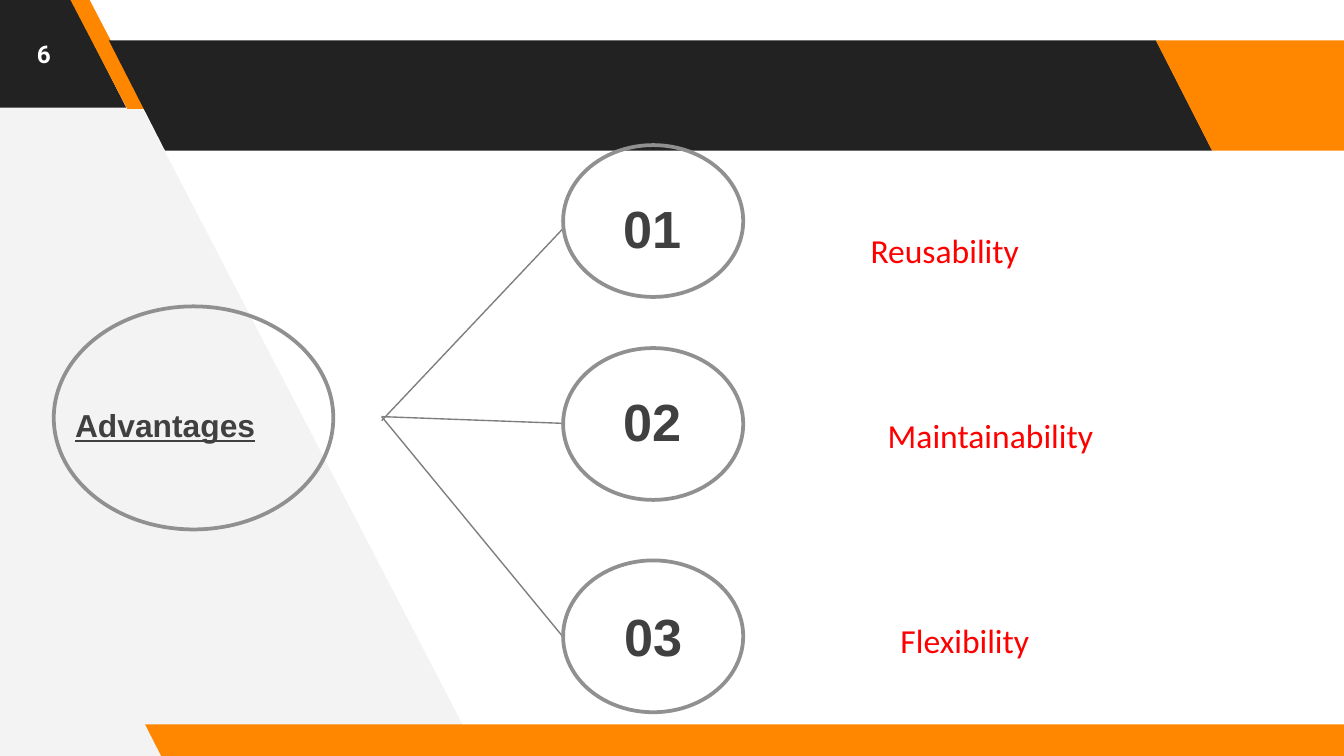
from lxml.etree import SubElement
from pptx import Presentation
from pptx.dml.color import RGBColor
from pptx.enum.shapes import MSO_CONNECTOR, MSO_SHAPE
from pptx.enum.text import MSO_ANCHOR, MSO_AUTO_SIZE, PP_ALIGN
from pptx.oxml.ns import qn
from pptx.util import Inches, Pt

WHITE = RGBColor(0xFF, 0xFF, 0xFF)
PALE = RGBColor(0xF3, 0xF3, 0xF3)
BLACK = RGBColor(0x22, 0x22, 0x22)
ORANGE = RGBColor(0xFF, 0x87, 0x00)
RING = RGBColor(0x90, 0x90, 0x90)
BRANCH = RGBColor(0x7E, 0x7E, 0x7E)
DARK = RGBColor(0x40, 0x40, 0x40)
RED = RGBColor(0xFF, 0x00, 0x00)

PAGE_WIDTH = 10
PAGE_HEIGHT = PAGE_WIDTH * 9 / 16
SLANT = 0.51
BANDS = [
    (-0.99, -0.02, 1.93, 0.82, SLANT, BLACK),
    (0.52, -0.01, 0.57, 0.82, 0.75, ORANGE),
    (0.81, 0.3, 8.21, 0.82, SLANT, BLACK),
    (8.6, 0.3, 1.92, 0.82, SLANT, ORANGE),
    (1.08, 5.39, 9.15, 0.25, SLANT, ORANGE),
]
RING_LEFT, RING_WIDTH, RING_HEIGHT = 4.19, 1.34, 1.13
BRANCH_LEFT = 2.84
ADVANTAGES = [
    {"ring": 1.08, "branch": (3.13, 1.7), "number": (4.54, 1.41),
     "name": "Reusability", "label": (5.38, 1.65)},
    {"ring": 2.59, "branch": (3.1, 3.15), "number": (4.54, 2.85),
     "name": "Maintainability", "label": (5.72, 3.03)},
    {"ring": 4.17, "branch": (3.1, 4.74), "number": (4.55, 4.45),
     "name": "Flexibility", "label": (5.53, 4.55)},
]


def add_side_panel(page):
    """Draw the pale slanted panel on the left."""
    corners = [(3.56, 5.62), (0.62, -0.04), (-0.06, -0.04), (-0.02, 5.66)]
    points = [(Inches(x), Inches(y)) for x, y in corners]
    builder = page.shapes.build_freeform(*points[0])
    builder.add_line_segments(points[1:], close=True)
    panel = builder.convert_to_shape()
    panel.shadow.inherit = False
    panel.fill.solid()
    panel.fill.fore_color.rgb = PALE
    panel.line.fill.background()


def add_band(page, left, top, width, height, slant, color):
    """Draw a mirrored parallelogram band."""
    band = page.shapes.add_shape(
        MSO_SHAPE.PARALLELOGRAM, Inches(left), Inches(top), Inches(width), Inches(height))
    band.adjustments[0] = slant
    band.element.spPr.find(qn("a:xfrm")).set("flipH", "1")
    band.shadow.inherit = False
    band.fill.solid()
    band.fill.fore_color.rgb = color
    band.line.fill.background()


def add_ring(page, left, top, width, height):
    """Draw an unfilled grey ellipse."""
    ring = page.shapes.add_shape(
        MSO_SHAPE.OVAL, Inches(left), Inches(top), Inches(width), Inches(height))
    ring.shadow.inherit = False
    ring.fill.background()
    ring.line.color.rgb = RING
    ring.line.width = Pt(2)


def add_branch(page, start_y, end_y):
    """Draw a thin line from the hub to a numbered ring."""
    branch = page.shapes.add_connector(
        MSO_CONNECTOR.STRAIGHT, Inches(BRANCH_LEFT), Inches(start_y),
        Inches(RING_LEFT), Inches(end_y))
    branch.line.color.rgb = BRANCH
    branch.line.width = Pt(0.75)
    SubElement(branch.element.spPr, qn("a:effectLst"))


def add_text(page, text, left, top, width, height, font, size, color, bold=False):
    """Add a one-paragraph text box and return its frame and paragraph."""
    box = page.shapes.add_textbox(Inches(left), Inches(top), Inches(width), Inches(height))
    frame = box.text_frame
    frame.word_wrap = True
    para = frame.paragraphs[0]
    para.text = text
    para.font.name = font
    para.font.size = Pt(size)
    para.font.bold = bold
    para.font.color.rgb = color
    return frame, para


def set_insets(frame, inset):
    """Give a text frame the same inset on all sides."""
    frame.margin_left = frame.margin_right = Inches(inset)
    frame.margin_top = frame.margin_bottom = Inches(inset)


def add_page_number(page):
    """Add the page number in the top left corner."""
    frame, para = add_text(page, "6", 0, 0, 0.65, 0.8, "Roboto", 13, WHITE, True)
    set_insets(frame, 0.1)
    frame.vertical_anchor = MSO_ANCHOR.MIDDLE
    para.alignment = PP_ALIGN.CENTER


def add_heading(page, text, left, top, width, height, size):
    """Add a bold dark text box that grows with its text."""
    frame, para = add_text(page, text, left, top, width, height, "Arial", size, DARK, True)
    frame.auto_size = MSO_AUTO_SIZE.SHAPE_TO_FIT_TEXT
    return para


def add_label(page, text, left, top):
    """Add the red name of an advantage."""
    frame, para = add_text(page, text, left, top, 3.3, 0.36, "Calibri", 18, RED)
    set_insets(frame, 0)
    frame.auto_size = MSO_AUTO_SIZE.SHAPE_TO_FIT_TEXT
    para.alignment = PP_ALIGN.CENTER
    para.line_spacing = 1.2
    para.space_before = Pt(3.6)


def main():
    """Build the advantages slide."""
    deck = Presentation()
    deck.slide_width = Inches(PAGE_WIDTH)
    deck.slide_height = Inches(PAGE_HEIGHT)
    page = deck.slides.add_slide(deck.slide_layouts[6])
    add_side_panel(page)
    for band in BANDS:
        add_band(page, *band)
    add_page_number(page)
    add_ring(page, 0.4, 2.28, 2.08, 1.66)
    heading = add_heading(page, "Advantages", 0.46, 2.97, 1.99, 0.39, 17)
    heading.font.underline = True
    for index, advantage in enumerate(ADVANTAGES, start=1):
        add_branch(page, *advantage["branch"])
        add_ring(page, RING_LEFT, advantage["ring"], RING_WIDTH, RING_HEIGHT)
        add_heading(page, f"{index:02}", *advantage["number"], 1.19, 0.57, 28)
        add_label(page, advantage["name"], *advantage["label"])
    deck.save("out.pptx")


if __name__ == "__main__":
    main()
